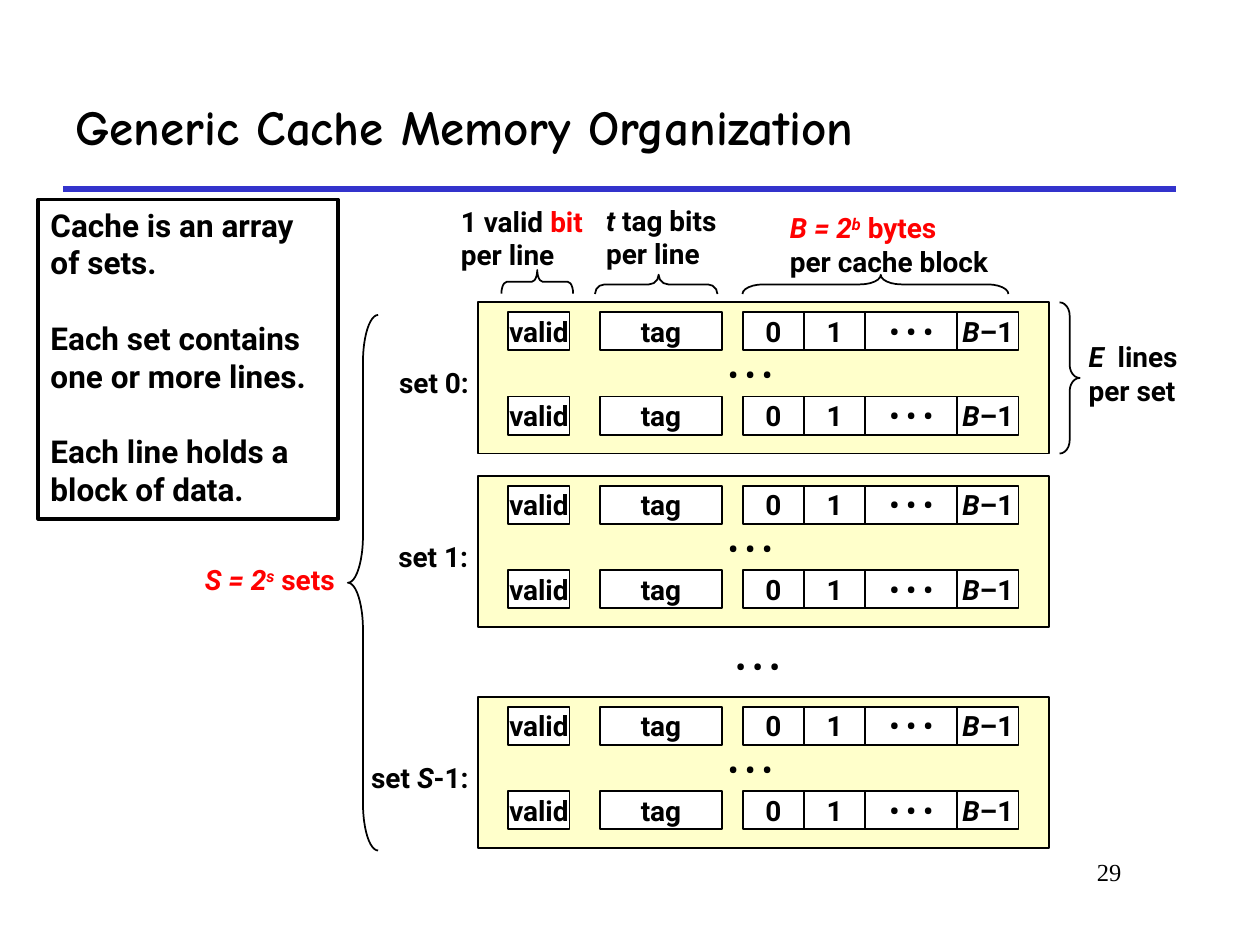
from pptx import Presentation
from pptx.dml.color import RGBColor
from pptx.enum.shapes import MSO_CONNECTOR, MSO_SHAPE
from pptx.enum.text import MSO_ANCHOR, PP_ALIGN
from pptx.oxml.ns import qn
from pptx.util import Pt
from lxml.etree import SubElement

COLORS = {
    "black": "000000",
    "white": "FFFFFF",
    "red": "FF0000",
    "blue": "3333CC",
    "yellow": "FFFF99",
}
DOTS = "• • •"

deck = Presentation()
deck.slide_width, deck.slide_height = Pt(720), Pt(540)
slide = deck.slides.add_slide(deck.slide_layouts[6])
shapes = slide.shapes


def write(shape, lines, size=16, face="Roboto", bold=True,
          align=PP_ALIGN.LEFT, anchor=MSO_ANCHOR.MIDDLE):
    """Fill a shape with lines of (text, marks) runs: i italic, r red, s superscript."""
    frame = shape.text_frame
    frame.word_wrap = False
    frame.vertical_anchor = anchor
    for n, line in enumerate(lines):
        para = frame.paragraphs[0] if n == 0 else frame.add_paragraph()
        para.alignment = align
        for text, marks in line:
            run = para.add_run()
            run.text = text
            font = run.font
            font.size, font.name, font.bold = Pt(size), face, bold
            font.italic = "i" in marks
            color = "red" if "r" in marks else "black"
            font.color.rgb = RGBColor.from_string(COLORS[color])
            if "s" in marks:
                run._r.get_or_add_rPr().set("baseline", "30000")


def draw(kind, box, fill=None, width=1):
    """Add an outlined shape, unfilled unless a colour is named."""
    shape = shapes.add_shape(kind, *map(Pt, box))
    shape.shadow.inherit = False
    shape.line.color.rgb = RGBColor.from_string(COLORS["black"])
    shape.line.width = Pt(width)
    if fill:
        shape.fill.solid()
        shape.fill.fore_color.rgb = RGBColor.from_string(COLORS[fill])
    else:
        shape.fill.background()
    return shape


# Title, rule and page number
rule = shapes.add_connector(MSO_CONNECTOR.STRAIGHT, Pt(36), Pt(108), Pt(672), Pt(108))
rule.line.color.rgb = RGBColor.from_string(COLORS["blue"])
rule.line.width = Pt(3)
SubElement(rule._element.spPr, qn("a:effectLst"))

title = shapes.add_textbox(Pt(36), Pt(36), Pt(636), Pt(72))
write(title, [[("Generic Cache Memory Organization", "")]], 28, "Comic Neue")
page = shapes.add_textbox(Pt(546), Pt(486), Pt(102), Pt(36))
write(page, [[("29", "")]], 14, "Times New Roman", False, PP_ALIGN.RIGHT, MSO_ANCHOR.TOP)

# Cache sets, each with two lines of cells
cells = [
    (290.5, 35, [("valid", "")]),
    (342.7, 70, [("tag", "")]),
    (424.5, 35, [("0", "")]),
    (459.5, 35, [("1", "")]),
    (494.5, 52.5, [(DOTS, "")]),
    (547, 35, [("B", "i"), ("–1", "")]),
]
sets = [
    (172.8, 221, 57, [("set 0:", "")]),
    (272, 220.5, 57, [("set 1:", "")]),
    (398.3, 205, 73, [("set ", ""), ("S", "i"), ("-1:", "")]),
]
labels = []
for top, left, width, name in sets:
    panel = draw(MSO_SHAPE.RECTANGLE, (273, top, 326.5, 86.4), "yellow")
    tint = panel._element.spPr.find(qn("a:solidFill"))[0]
    SubElement(tint, qn("a:alpha")).set("val", "50000")
    for row in (top + 5.5, top + 53.8):
        for x, wide, runs in cells:
            cell = draw(MSO_SHAPE.RECTANGLE, (x, row, wide, 21.8), "white")
            write(cell, [runs], align=PP_ALIGN.CENTER)
    labels += [
        ((left, top + 32.5, width, 26.5), [name]),
        ((409, top + 30.2, 52.5, 21.8), [[(DOTS, "")]]),
    ]

# Labels
labels += [
    ((413.3, 370, 52.5, 21.8), [[(DOTS, "")]]),
    ((256.3, 113, 88.5, 46), [[("1 valid ", ""), ("bit", "r")], [("per line", "")]]),
    ((339.3, 112.2, 81.5, 46), [[("t ", "i"), ("tag bits", "")], [("per line", "")]]),
    ((444.3, 116.8, 135.5, 45.5),
     [[("B = 2", "ir"), ("b", "irs"), (" bytes", "r")], [("per cache block", "")]]),
    ((615, 190.3, 75, 46), [[("E", "i"), ("  lines", "")], [("per set", "")]]),
    ((110, 317.8, 95, 26.5), [[("S = 2", "ir"), ("s", "irs"), (" sets", "r")]]),
]
for box, lines in labels:
    write(shapes.add_textbox(*map(Pt, box)), lines)

# Braces: kind, box, turn, curl, tip
braces = [
    (MSO_SHAPE.RIGHT_BRACE, (300.3, 140.5, 13.5, 41), 270, 0.23, 0.5),
    (MSO_SHAPE.RIGHT_BRACE, (369.5, 127.5, 11, 70), 270, 0.5, 0.52),
    (MSO_SHAPE.RIGHT_BRACE, (494.8, 86.5, 11, 152), 270, 1.08, 0.52),
    (MSO_SHAPE.RIGHT_BRACE, (605.5, 172.8, 11.5, 86.4), 0, 0.66, 0.5),
    (MSO_SHAPE.LEFT_BRACE, (198.8, 180, 17.3, 306), 0, 1.56, 0.5),
]
for kind, box, turn, curl, tip in braces:
    brace = draw(kind, box)
    brace.rotation = turn
    brace.adjustments[0], brace.adjustments[1] = curl, tip

# Summary
note = draw(MSO_SHAPE.RECTANGLE, (21.8, 114, 171.5, 182.5), width=2)
facts = [
    "Cache is an array", "of sets.",
    "Each set contains", "one or more lines.",
    "Each line holds a", "block of data.",
]
write(note, [[(fact, "")] for fact in facts], 18, anchor=MSO_ANCHOR.TOP)
for para in note.text_frame.paragraphs[2::2]:
    para.space_before = Pt(21.5)

deck.save("out.pptx")
